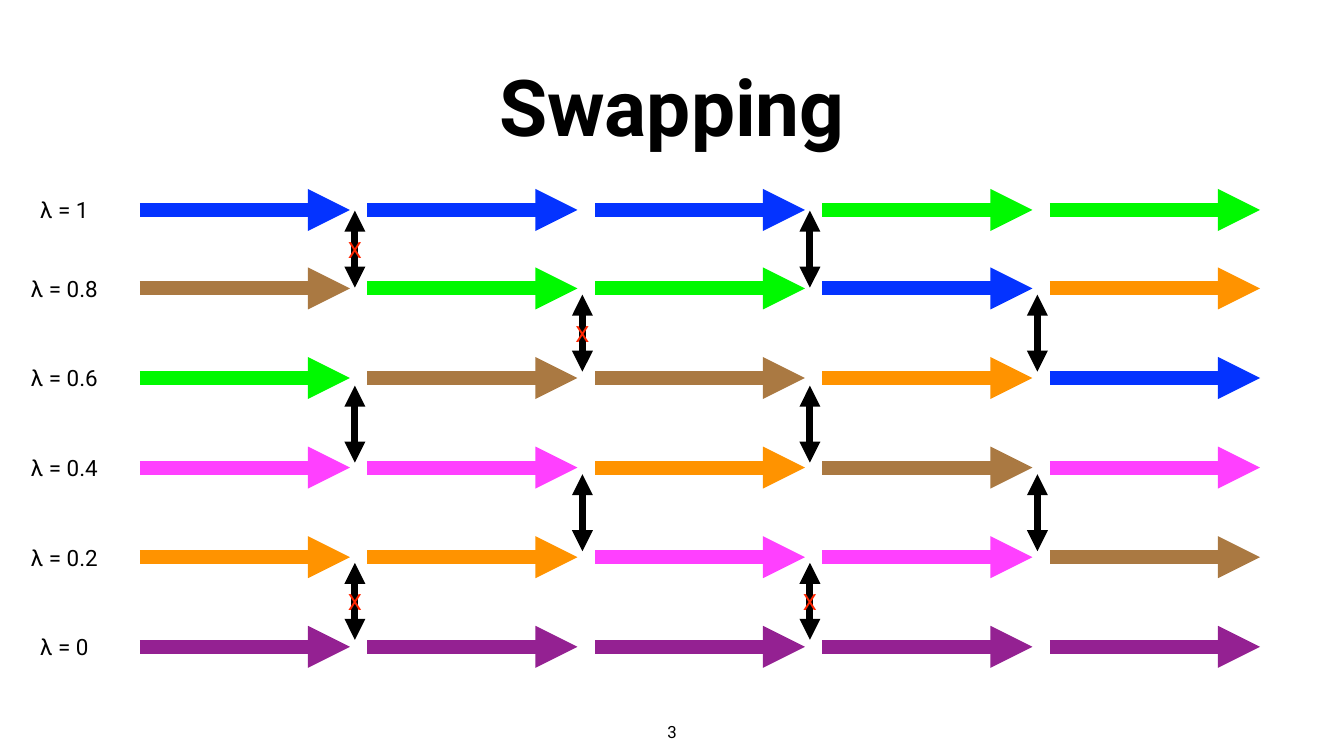
from dataclasses import dataclass

from lxml import etree
from pptx import Presentation
from pptx.dml.color import RGBColor
from pptx.enum.shapes import MSO_CONNECTOR
from pptx.enum.text import MSO_ANCHOR, MSO_AUTO_SIZE, PP_ALIGN
from pptx.oxml.ns import qn
from pptx.util import Pt

STRAIGHT = MSO_CONNECTOR.STRAIGHT
MIDDLE, TOP = MSO_ANCHOR.MIDDLE, MSO_ANCHOR.TOP
CENTER = PP_ALIGN.CENTER
NO_AUTOFIT = MSO_AUTO_SIZE.NONE

FONT = "Roboto"
BLACK, RED = "000000", "FF2600"
BLUE, GREEN, BROWN = "0433FF", "00F900", "AA7942"
PINK, ORANGE, PURPLE = "FF40FF", "FF9300", "942192"

ROW_Y = (300, 412, 540, 668, 796, 924)
LABELS = ("λ = 1", "λ = 0.8", "λ = 0.6", "λ = 0.4", "λ = 0.2", "λ = 0")
LABEL_X = 92
FIRST_X, STEP, RUN_LENGTH = 200, 325, 300
FIRST_SWAP_X, SWAP_LENGTH = 507, 110

RUN_COLORS = (
    (BLUE, BROWN, GREEN, PINK, ORANGE, PURPLE),
    (BLUE, GREEN, BROWN, PINK, ORANGE, PURPLE),
    (BLUE, GREEN, BROWN, ORANGE, PINK, PURPLE),
    (GREEN, BLUE, ORANGE, BROWN, PINK, PURPLE),
    (GREEN, ORANGE, BLUE, PINK, BROWN, PURPLE),
)


@dataclass(frozen=True)
class Swap:
    column: int
    top: float
    rejected: bool = False


SWAPS = (
    Swap(0, 301, True), Swap(0, 551), Swap(0, 804, True),
    Swap(1, 421, True), Swap(1, 677.5),
    Swap(2, 301), Swap(2, 551), Swap(2, 804, True),
    Swap(3, 421), Swap(3, 677.5),
)


def rgb(value: str) -> RGBColor:
    return RGBColor.from_string(value)


def format_text(box, size: float, color: str, bold: bool = False, anchor=MIDDLE) -> None:
    frame = box.text_frame
    frame.auto_size = NO_AUTOFIT
    frame.vertical_anchor = anchor
    frame.margin_left = frame.margin_right = Pt(5.6)
    frame.margin_top = frame.margin_bottom = Pt(5.6)
    for paragraph in frame.paragraphs:
        paragraph.alignment = CENTER
        for span in paragraph.runs:
            span.font.name = FONT
            span.font.size = Pt(size)
            span.font.bold = bold
            span.font.color.rgb = rgb(color)


def add_centered_text(page, text: str, x: float, y: float, width: float, height: float,
                      size: float = 32, color: str = BLACK, anchor=MIDDLE) -> None:
    box = page.shapes.add_textbox(Pt(x - width / 2), Pt(y - height / 2), Pt(width), Pt(height))
    box.text_frame.text = text
    box.text_frame.word_wrap = False
    format_text(box, size, color, anchor=anchor)


def add_arrow(page, start: tuple[float, float], end: tuple[float, float],
              color: str, width: float, double: bool = False) -> None:
    points = [Pt(value) for value in (*start, *end)]
    arrow = page.shapes.add_connector(STRAIGHT, *points)
    arrow.line.color.rgb = rgb(color)
    arrow.line.width = Pt(width)
    line = arrow.line._get_or_add_ln()
    etree.SubElement(line, qn("a:miter"), lim="400000")
    for tag in ("a:headEnd", "a:tailEnd") if double else ("a:tailEnd",):
        etree.SubElement(line, qn(tag), type="triangle", w="med", len="med")
    etree.SubElement(arrow._element.spPr, qn("a:effectLst"))


def add_swap(page, swap: Swap) -> None:
    x = FIRST_SWAP_X + swap.column * STEP
    add_arrow(page, (x, swap.top), (x, swap.top + SWAP_LENGTH), BLACK, 10, double=True)
    if swap.rejected:
        add_centered_text(page, "X", x, swap.top + SWAP_LENGTH / 2, 34, 49, color=RED)


def add_title(page, text: str) -> None:
    title = page.shapes.title
    title.left, title.top = Pt(50), Pt(50)
    title.width, title.height = Pt(1820), Pt(200)
    title.text_frame.text = text
    format_text(title, 112, BLACK, bold=True)


def main() -> None:
    deck = Presentation()
    deck.slide_width, deck.slide_height = Pt(1920), Pt(1080)
    page = deck.slides.add_slide(deck.slide_layouts[5])
    add_title(page, "Swapping")
    add_centered_text(page, "3", 960, 1045, 26, 40, size=24, anchor=TOP)
    for label, y in zip(LABELS, ROW_Y):
        add_centered_text(page, label, LABEL_X, y, 110, 49)
    for column, colors in enumerate(RUN_COLORS):
        x = FIRST_X + column * STEP
        for color, y in zip(colors, ROW_Y):
            add_arrow(page, (x, y), (x + RUN_LENGTH, y), color, 20)
    for swap in SWAPS:
        add_swap(page, swap)
    deck.save("out.pptx")


if __name__ == "__main__":
    main()
